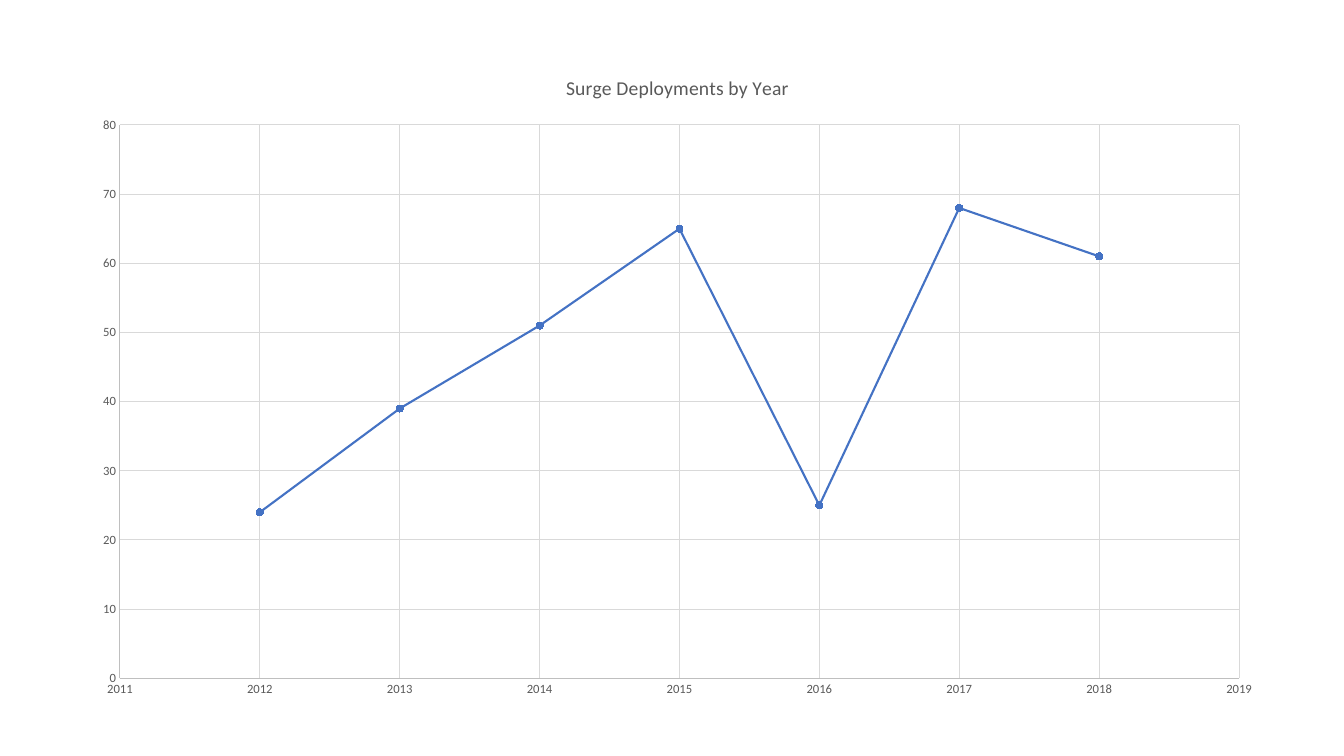
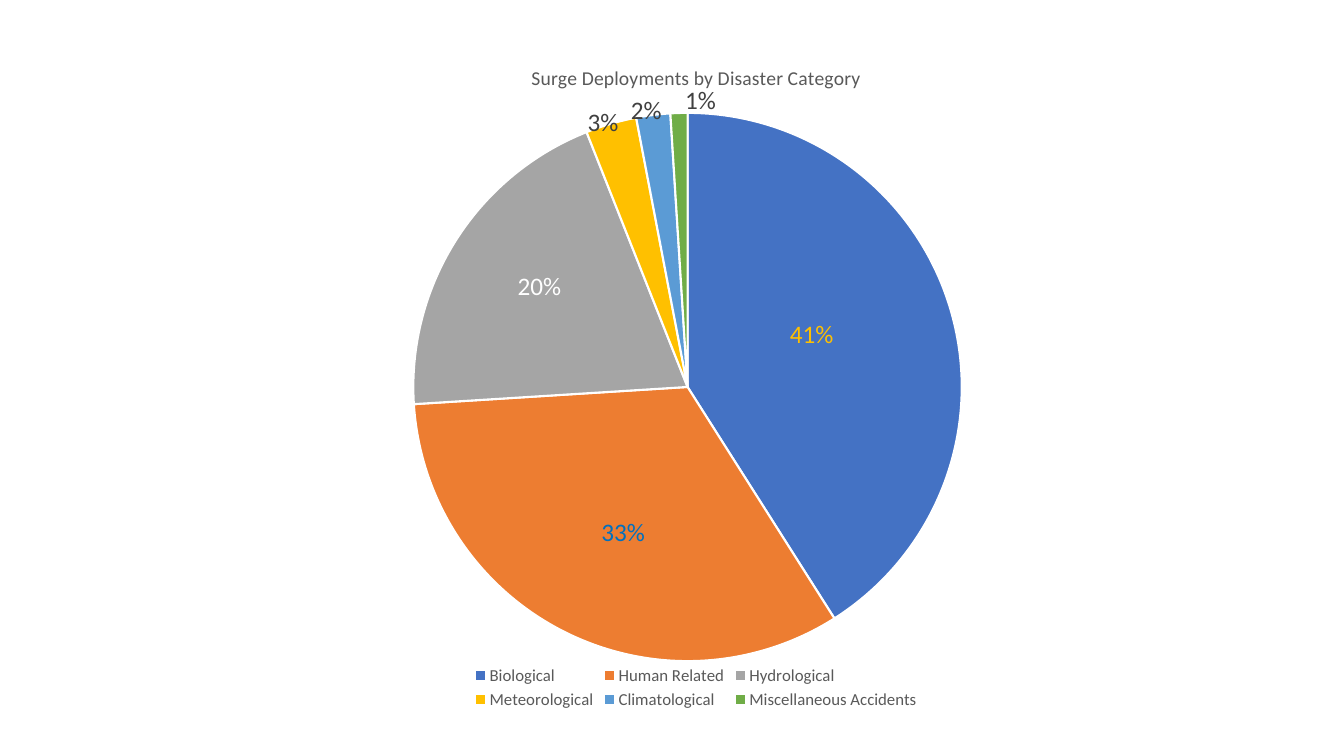
from math import cos, pi, sin

from lxml import etree
from pptx import Presentation
from pptx.chart.data import CategoryChartData, XyChartData
from pptx.dml.color import RGBColor
from pptx.enum.chart import (XL_CHART_TYPE, XL_LABEL_POSITION, XL_LEGEND_POSITION,
                             XL_MARKER_STYLE, XL_TICK_MARK)
from pptx.oxml.ns import qn
from pptx.util import Inches, Pt

FONT = "Calibri"
BLACK = RGBColor(0x00, 0x00, 0x00)
WHITE = RGBColor(0xFF, 0xFF, 0xFF)
TEXT_GREY = RGBColor(0x59, 0x59, 0x59)
LABEL_GREY = RGBColor(0x40, 0x40, 0x40)
AXIS_GREY = RGBColor(0xBF, 0xBF, 0xBF)
GRID_GREY = RGBColor(0xD9, 0xD9, 0xD9)
BLUE = RGBColor(0x44, 0x72, 0xC4)
ORANGE = RGBColor(0xED, 0x7D, 0x31)
GREY = RGBColor(0xA5, 0xA5, 0xA5)
GOLD = RGBColor(0xFF, 0xC0, 0x00)
LIGHT_BLUE = RGBColor(0x5B, 0x9B, 0xD5)
GREEN = RGBColor(0x70, 0xAD, 0x47)
DEEP_BLUE = RGBColor(0x00, 0x70, 0xC0)

DEPLOYMENTS = {2012: 24, 2013: 39, 2014: 51, 2015: 65, 2016: 25, 2017: 68, 2018: 61}

# Category, percent, slice colour, label colour, label centre in inches within the chart
DISASTERS = [
    ("Biological", 41, BLUE, GOLD, (6.19, 2.9)),
    ("Human Related", 33, ORANGE, DEEP_BLUE, (4.32, 4.86)),
    ("Hydrological", 20, GREY, WHITE, (3.49, 2.42)),
    ("Meteorological", 3, GOLD, LABEL_GREY, (4.12, 0.8)),
    ("Climatological", 2, LIGHT_BLUE, LABEL_GREY, (4.55, 0.68)),
    ("Miscellaneous Accidents", 1, GREEN, LABEL_GREY, (5.09, 0.58)),
]


def style_font(font, size, color):
    font.name = FONT
    font.size = Pt(size)
    font.bold = False
    font.color.rgb = color


def style_line(line, color, width):
    line.color.rgb = color
    line.width = Pt(width)


def make_layout(**settings):
    """Build a manual chart layout element."""
    layout = etree.Element(qn("c:layout"))
    manual = etree.SubElement(layout, qn("c:manualLayout"))
    for name, value in settings.items():
        etree.SubElement(manual, qn(f"c:{name}")).set("val", str(value))
    return layout


def add_titled_chart(page, kind, data, title, box, plot_box):
    """Add a chart in box, with its plot area at plot_box inside it (inches)."""
    chart = page.shapes.add_chart(kind, *map(Inches, box), data).chart
    style_font(chart.font, 10, BLACK)
    chart.has_title = True
    chart.chart_title.include_in_layout = False
    para = chart.chart_title.text_frame.paragraphs[0]
    para.text = title
    style_font(para.runs[0].font, 14, TEXT_GREY)

    left, top, width, height = plot_box
    plot_area = chart.element.find(".//" + qn("c:plotArea")) if hasattr(chart, "element") \
        else chart._chartSpace.find(".//" + qn("c:plotArea"))
    for old_layout in plot_area.findall(qn("c:layout")):
        plot_area.remove(old_layout)
    plot_area.insert(0, make_layout(
        layoutTarget="inner", xMode="edge", yMode="edge",
        x=left / box[2], y=top / box[3], w=width / box[2], h=height / box[3]))
    return chart


def style_axis(axis, low, high, step):
    axis.minimum_scale, axis.maximum_scale, axis.major_unit = low, high, step
    axis.major_tick_mark = axis.minor_tick_mark = XL_TICK_MARK.NONE
    axis.has_major_gridlines = True
    style_line(axis.major_gridlines.format.line, GRID_GREY, 0.75)
    style_line(axis.format.line, AXIS_GREY, 0.75)
    style_font(axis.tick_labels.font, 9, TEXT_GREY)
    axis.tick_labels.number_format = "General"
    axis.tick_labels.number_format_is_linked = False


def add_year_slide(page, box):
    """Scatter line of deployments by year."""
    data = XyChartData()
    points = data.add_series("Series 1")
    for year, count in DEPLOYMENTS.items():
        points.add_data_point(year, count)
    chart = add_titled_chart(page, XL_CHART_TYPE.XY_SCATTER_LINES, data,
                             "Surge Deployments by Year", box, (0.41, 0.72, 11.1, 5.49))
    chart.has_legend = False
    chart.plots[0].vary_by_categories = False
    style_axis(chart.category_axis, 2011, 2019, 1)
    style_axis(chart.value_axis, 0, 80, 10)

    series = chart.plots[0].series[0]
    series.smooth = False
    style_line(series.format.line, BLUE, 1.5)
    series.marker.style = XL_MARKER_STYLE.CIRCLE
    series.marker.size = 5
    series.marker.format.fill.solid()
    series.marker.format.fill.fore_color.rgb = BLUE
    style_line(series.marker.format.line, BLUE, 0.75)


def add_category_slide(page, box):
    """Pie of deployments by disaster category."""
    data = CategoryChartData()
    data.categories = [row[0] for row in DISASTERS]
    data.add_series("Series 1", [row[1] for row in DISASTERS])
    pie_box = (2.24, 0.7, 5.44, 5.44)
    chart = add_titled_chart(page, XL_CHART_TYPE.PIE, data,
                             "Surge Deployments by Disaster Category", box, pie_box)
    chart.plots[0].vary_by_categories = True
    chart.has_legend = True
    chart.legend.position = XL_LEGEND_POSITION.BOTTOM
    chart.legend.include_in_layout = False
    style_font(chart.legend.font, 12, TEXT_GREY)

    series = chart.plots[0].series[0]
    labels = series.data_labels
    labels.show_percentage = True
    labels.show_value = False
    labels.number_format = "0%"
    labels.number_format_is_linked = False
    labels.position = XL_LABEL_POSITION.CENTER
    style_font(labels.font, 18, LABEL_GREY)

    # Slices, with each label moved from the middle of its slice
    radius = pie_box[2] / 2
    center_x, center_y = pie_box[0] + radius, pie_box[1] + radius
    total = sum(row[1] for row in DISASTERS)
    start = 0
    for index, (_, share, color, label_color, (label_x, label_y)) in enumerate(DISASTERS):
        point = series.points[index]
        point.format.fill.solid()
        point.format.fill.fore_color.rgb = color
        style_line(point.format.line, WHITE, 1.5)
        style_font(point.data_label.font, 18, label_color)
        point.data_label.position = XL_LABEL_POSITION.CENTER

        angle = 2 * pi * (start + share / 2) / total
        start += share
        shift_x = label_x - center_x - radius / 2 * sin(angle)
        shift_y = label_y - center_y + radius / 2 * cos(angle)
        label = series._element.findall(".//" + qn("c:dLbl"))[index]
        label.insert(1, make_layout(x=round(shift_x / box[2], 4), y=round(shift_y / box[3], 4)))
        label.find(qn("c:showVal")).set("val", "0")
        label.find(qn("c:showPercent")).set("val", "1")

    for leader in series._element.iter(qn("c:showLeaderLines")):
        leader.set("val", "0")


def main():
    deck = Presentation()
    deck.slide_width, deck.slide_height = Inches(13.33), Inches(7.5)
    blank = deck.slide_layouts[6]
    add_year_slide(deck.slides.add_slide(blank), (0.78, 0.52, 11.88, 6.53))
    add_category_slide(deck.slides.add_slide(blank), (1.86, 0.42, 10.09, 6.66))
    deck.save("out.pptx")


if __name__ == "__main__":
    main()
